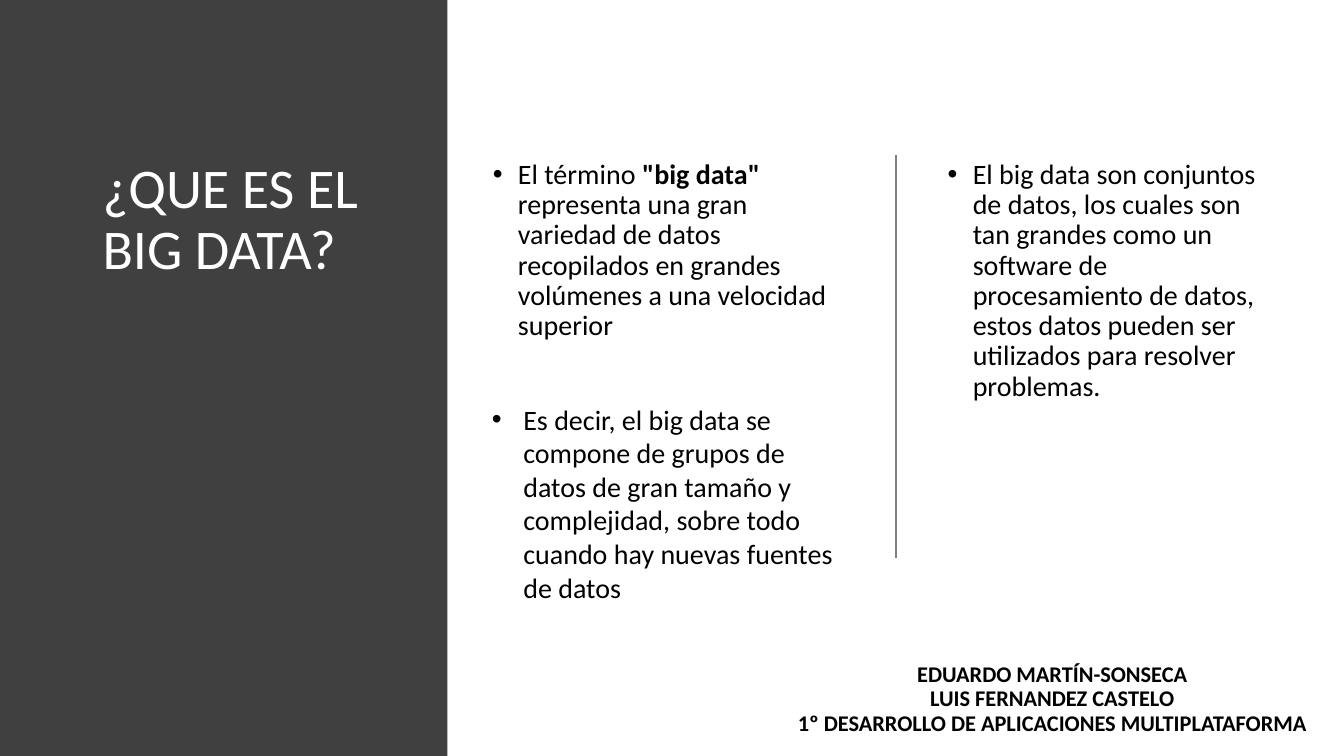
from lxml import etree
from pptx import Presentation
from pptx.dml.color import RGBColor
from pptx.enum.shapes import MSO_CONNECTOR, MSO_SHAPE
from pptx.enum.text import MSO_ANCHOR, PP_ALIGN
from pptx.oxml.ns import qn
from pptx.util import Pt

STRAIGHT = MSO_CONNECTOR.STRAIGHT
RECTANGLE = MSO_SHAPE.RECTANGLE
TOP, BOTTOM = MSO_ANCHOR.TOP, MSO_ANCHOR.BOTTOM
LEFT, CENTER = PP_ALIGN.LEFT, PP_ALIGN.CENTER

FONT = "Calibri"
BLACK, WHITE, DARK, GRAY = "000000", "FFFFFF", "404040", "808080"
CONTENT_TOP = 110.9


def color(hex_code):
    return RGBColor.from_string(hex_code)


def add_text(page, frame, spans, size, ink=BLACK, spacing=0.9, indent=None,
             align=LEFT, anchor=TOP):
    """Add a one-paragraph box; spans are (text, bold), indent is (margin, hanging)."""
    box = page.shapes.add_textbox(*[Pt(length) for length in frame])
    box.text_frame.word_wrap = True
    box.text_frame.vertical_anchor = anchor
    para = box.text_frame.paragraphs[0]
    para.alignment = align
    para.line_spacing = spacing
    if indent:
        margin, hanging = indent
        properties = para._p.get_or_add_pPr()
        properties.set("marL", str(Pt(margin)))
        properties.set("indent", str(-Pt(hanging)))
        etree.SubElement(properties, qn("a:buFont")).set("typeface", "Arial")
        etree.SubElement(properties, qn("a:buChar")).set("char", "•")
    for text, bold in spans:
        for number, line in enumerate(text.split("\n")):
            if number:
                para.add_line_break()
            span = para.add_run()
            span.text = line
            span.font.name = FONT
            span.font.size = Pt(size)
            span.font.bold = bold
            span.font.color.rgb = color(ink)


deck = Presentation()
deck.slide_width, deck.slide_height = Pt(960), Pt(540)
page = deck.slides.add_slide(deck.slide_layouts[6])
page.background.fill.solid()
page.background.fill.fore_color.rgb = color(WHITE)

# Title panel
panel = page.shapes.add_shape(RECTANGLE, 0, 0, Pt(319.7), deck.slide_height)
panel.shadow.inherit = False
panel.fill.solid()
panel.fill.fore_color.rgb = color(DARK)
panel.line.fill.background()
add_text(page, (66.2, CONTENT_TOP, 228.2, 343.4),
         [("¿QUE ES EL BIG DATA?", False)], 40, ink=WHITE)

# Two columns with a divider
add_text(page, (344.9, CONTENT_TOP, 270, 343.4),
         [("El término ", False),
          ("\"big data\" ", True),
          ("representa una gran variedad de datos recopilados en grandes "
           "volúmenes a una velocidad superior", False)],
         20, indent=(18, 18))

divider = page.shapes.add_connector(
    STRAIGHT, Pt(640), Pt(CONTENT_TOP), Pt(640), Pt(398.9))
divider.line.color.rgb = color(GRAY)
divider.line.width = Pt(1)
etree.SubElement(divider._element.spPr, qn("a:effectLst"))

add_text(page, (665.3, CONTENT_TOP, 252, 344.9),
         [("El big data son conjuntos de datos, los cuales son tan grandes como "
           "un software de procesamiento de datos, estos datos pueden ser "
           "utilizados para resolver problemas.", False)],
         20, indent=(22.5, 18))

add_text(page, (344.2, 283.7, 270, 172.8),
         [("Es decir, el big data se compone de grupos de datos de gran tamaño y "
           "complejidad, sobre todo cuando hay nuevas fuentes de datos", False)],
         20, spacing=1.0, indent=(22.5, 22.5))

# Authors
add_text(page, (542.9, 457.9, 417.6, 71.3),
         [("EDUARDO MARTÍN-SONSECA\nLUIS FERNANDEZ CASTELO\n"
           "1º DESARROLLO DE APLICACIONES MULTIPLATAFORMA", True)],
         16, align=CENTER, anchor=BOTTOM)

deck.save("out.pptx")
